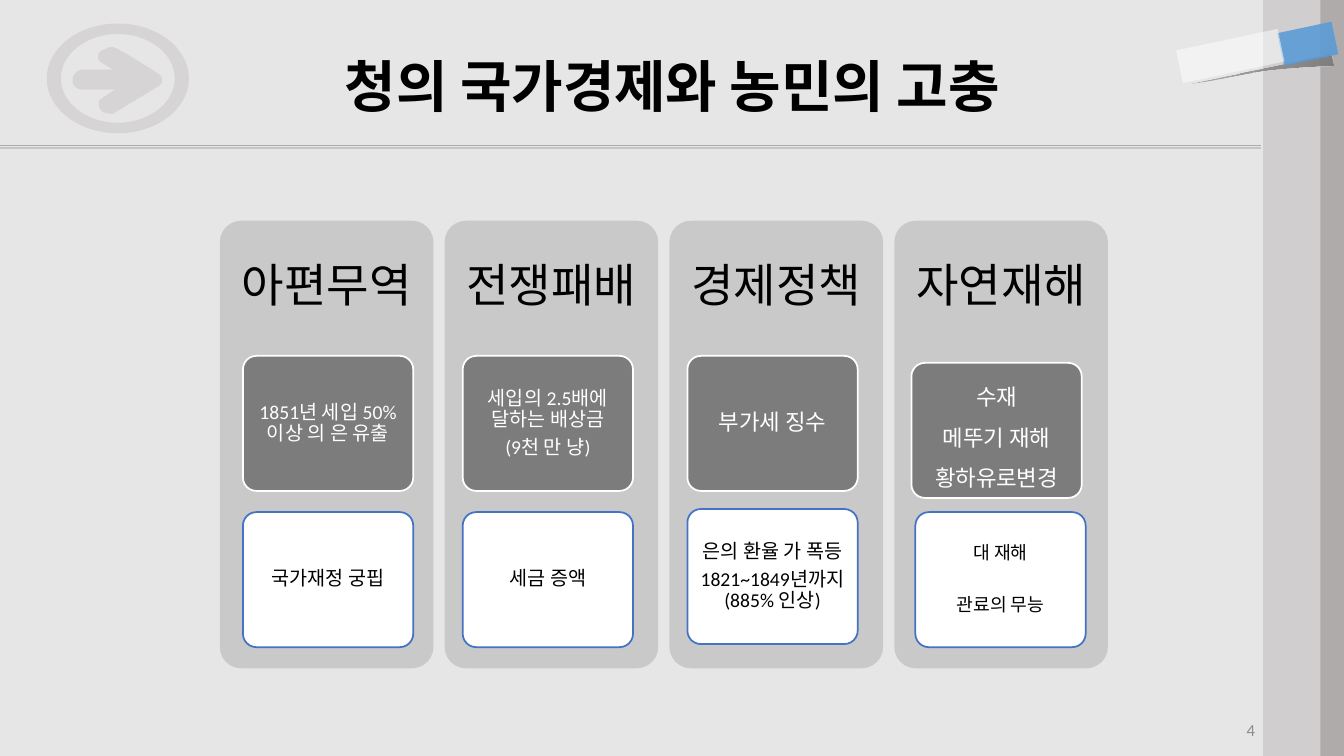
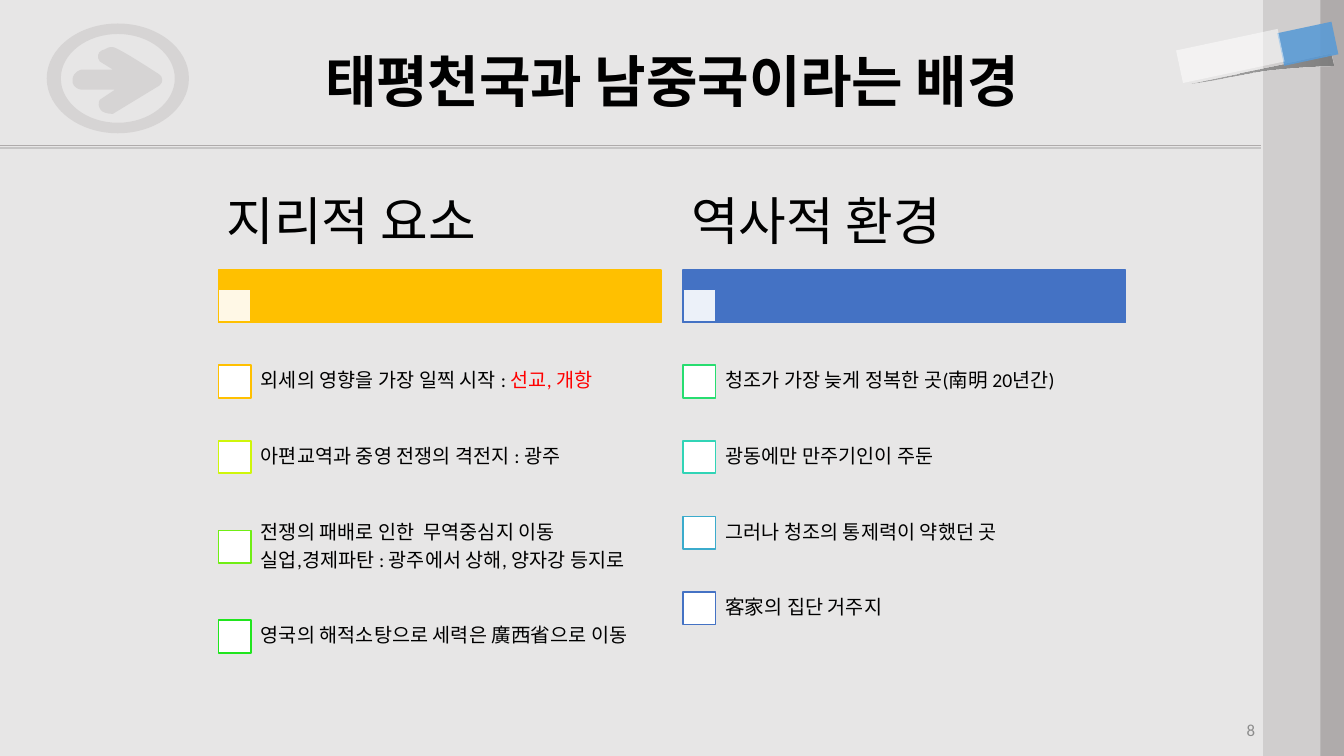
"""Build two slides on the Qing economy and the background of the Taiping movement."""
import dataclasses
import typing

import lxml.etree
import pptx
import pptx.dml.color
import pptx.enum.lang
import pptx.enum.shapes
import pptx.enum.text
import pptx.oxml.ns
import pptx.util

Pt = pptx.util.Pt
SHAPES = pptx.enum.shapes.MSO_SHAPE
ALIGN = pptx.enum.text.PP_ALIGN
MIDDLE = pptx.enum.text.MSO_ANCHOR.MIDDLE
KOREAN = pptx.enum.lang.MSO_LANGUAGE_ID.KOREAN
qn = pptx.oxml.ns.qn

FONT = "Calibri"
BLACK, WHITE, RED = "000000", "FFFFFF", "FF0000"
BLUE, AMBER = "4472C4", "FFC000"
BACKGROUND, GREY, LIGHT_GREY = "E7E6E6", "AFABAB", "D0CECE"
PANEL_GREY, CARD_GREY, SHADOW_GREY = "C9C9C9", "7C7C7C", "808080"

Contour = list[tuple[float, ...]]
ARROW: Contour = [
    (113, 52.6), (107.3, 49, 88.6, 36.7, 81.4, 33.8), (76.3, 33.1, 77.8, 34.6, 72.7, 36),
    (69.8, 37.4, 69.1, 41, 71.3, 43.9), (80.6, 49.7), (58.3, 49.7),
    (53.3, 51.1, 51.8, 54.7, 51.8, 56.9), (51.1, 59.8, 53.3, 63.4, 58.3, 64.1),
    (82.1, 64.1), (71.3, 71.3), (69.8, 73.4, 70.6, 77, 72, 78.5),
    (72.7, 80, 76.3, 81.4, 80.6, 81.4), (97.2, 71.3, 113.8, 61.2, 113.8, 61.2),
    (115.9, 59, 115.9, 58.3, 115.9, 56.9), (115.9, 55.4, 115.2, 54, 113, 52.6),
]
ERASER_SHADOW: Contour = [
    (950.4, 38.2), (952.6, 46.8), (891.4, 49, 878.4, 56.2, 849.6, 59.8),
    (883.4, 52.6, 916.6, 46.1, 950.4, 38.2),
]


class Box(typing.NamedTuple):
    """Left, top, width and height in points."""
    left: float
    top: float
    width: float
    height: float


@dataclasses.dataclass(frozen=True)
class TextStyle:
    """Look of the text in one shape."""
    size: float
    color: str = BLACK
    bold: bool = False
    align: typing.Any = ALIGN.LEFT
    spacing: float = 0.9
    gap: float = 0
    insets: tuple[float, float] = (7.2, 3.6)


@dataclasses.dataclass(frozen=True)
class Card:
    """Rounded card of a column."""
    left: float
    top: float
    lines: tuple[str, ...]
    size: float = 14
    spacing: float = 0.9
    gap: float = 4.9


@dataclasses.dataclass(frozen=True)
class Column:
    """Panel with a cause above its effect."""
    heading: str
    cause: Card
    effect: Card


@dataclasses.dataclass(frozen=True)
class Item:
    """Checklist entry with its marker colour."""
    color: str
    lines: tuple[str, ...]
    highlight: str = ""
    height: float = 54


@dataclasses.dataclass(frozen=True)
class Checklist:
    """Headed list of items."""
    left: float
    heading: str
    color: str
    items: tuple[Item, ...]


COLUMNS = (
    Column("아편무역", Card(173.5, 254.2, ("1851년 세입 50%이상 의 은 유출",)),
           Card(173.5, 365.8, ("국가재정 궁핍",))),
    Column("전쟁패배", Card(330.5, 254.2, ("세입의 2.5배에 달하는 배상금", "(9천 만 냥)")),
           Card(330.5, 365.8, ("세금 증액",))),
    Column("경제정책", Card(491, 254.2, ("부가세 징수",), 16),
           Card(491, 363.6, ("은의 환율 가 폭등", "1821~1849년까지(885% 인상)"))),
    Column("자연재해",
           Card(651, 259.2, ("수재", "메뚜기 재해", "황하유로변경"), 16, 1.5, 0),
           Card(653.8, 365.8, ("대 재해", "관료의 무능"), 13, gap=22.9)),
)
CHECKLISTS = (
    Checklist(156.2, "지리적 요소", AMBER, (
        Item(AMBER, ("외세의 영향을 가장 일찍 시작 : ",), "선교, 개항"),
        Item("CFF60A", ("아편교역과 중영 전쟁의 격전지 : 광주",)),
        Item("70EE14", ("전쟁의 패배로 인한  무역중심지 이동",
                        "실업,경제파탄 : 광주에서 상해, 양자강 등지로"), height=74.2),
        Item("20E51E", ("영국의 해적소탕으로 세력은 廣西省으로 이동",)),
    )),
    Checklist(488, "역사적 환경", BLUE, (
        Item("27DD70", ("청조가 가장 늦게 정복한 곳(南明 20년간)",)),
        Item("31D4B6", ("광동에만 만주기인이 주둔",)),
        Item("3BABCC", ("그러나 청조의 통제력이 약했던 곳",)),
        Item(BLUE, ("客家의 집단 거주지",)),
    )),
)


def rgb(color: str) -> pptx.dml.color.RGBColor:
    """Turn a hex string into a colour."""
    return pptx.dml.color.RGBColor.from_string(color)


def set_attributes(target: typing.Any, values: dict[str, typing.Any]) -> None:
    """Set every attribute of a dict of format values."""
    for name, value in values.items():
        setattr(target, name, value)


def add_alpha(color_element: typing.Any, percent: float) -> None:
    """Make a colour element partly transparent."""
    lxml.etree.SubElement(color_element, qn("a:alpha"), val=str(int(percent * 1000)))


def paint(shape: typing.Any, fill: str, line: str = "", alpha: float = 100) -> None:
    """Give a shape its fill and outline."""
    shape.shadow.inherit = False
    shape.fill.solid()
    shape.fill.fore_color.rgb = rgb(fill)
    if alpha < 100:
        add_alpha(shape.element.xpath("./p:spPr/a:solidFill/a:srgbClr")[0], alpha)
    if line:
        shape.line.color.rgb = rgb(line)
        shape.line.width = Pt(1.25)
    else:
        shape.line.fill.background()


def add_block(slide: typing.Any, box: Box, fill: str, line: str = "", alpha: float = 100,
              rotation: float = 0, rounded: bool = False) -> typing.Any:
    """Draw a plain or rounded rectangle."""
    kind = SHAPES.ROUNDED_RECTANGLE if rounded else SHAPES.RECTANGLE
    shape = slide.shapes.add_shape(kind, *map(Pt, box))
    paint(shape, fill, line, alpha)
    shape.rotation = rotation
    if rounded:
        shape.adjustments[0] = 0.1
    return shape


def write(shape: typing.Any, lines: tuple[str, ...], style: TextStyle,
          highlight: str = "") -> None:
    """Fill a shape with styled paragraphs and an optional red ending."""
    frame = shape.text_frame
    across, down = map(Pt, style.insets)
    set_attributes(frame, {
        "word_wrap": True, "vertical_anchor": MIDDLE, "margin_left": across,
        "margin_right": across, "margin_top": down, "margin_bottom": down})
    for index, line in enumerate(lines):
        paragraph = frame.add_paragraph() if index else frame.paragraphs[0]
        set_attributes(paragraph, {"alignment": style.align, "line_spacing": style.spacing})
        if index:
            paragraph.space_before = Pt(style.gap)
        runs = [(line, style.color)]
        if highlight and index == len(lines) - 1:
            runs.append((highlight, RED))
        for text, color in runs:
            run = paragraph.add_run()
            run.text = text
            set_attributes(run.font, {"name": FONT, "size": Pt(style.size),
                                      "bold": style.bold, "language_id": KOREAN})
            run.font.color.rgb = rgb(color)
            latin = run.font.fill and run._r.xpath("./a:rPr/a:latin")[0]
            latin.addnext(latin.makeelement(qn("a:ea"), {"typeface": FONT}))


def add_text(slide: typing.Any, box: Box, lines: tuple[str, ...], style: TextStyle,
             highlight: str = "") -> None:
    """Place a text box."""
    write(slide.shapes.add_textbox(*map(Pt, box)), lines, style, highlight)


def ellipse(radius_x: float, radius_y: float) -> Contour:
    """Give the four curves of an ellipse around the arrow."""
    x, y, bend = 84.2, 56, 0.55
    contour: Contour = [(x, y - radius_y)]
    for a, b in ((0, -1), (1, 0), (0, 1), (-1, 0)):
        c, d = -b, a
        contour.append((x + radius_x * (a + bend * c), y + radius_y * (b + bend * d),
                        x + radius_x * (c + bend * a), y + radius_y * (d + bend * b),
                        x + radius_x * c, y + radius_y * d))
    return contour


def add_outline(slide: typing.Any, *contours: Contour) -> typing.Any:
    """Draw a closed freeform whose six-number segments are cubic curves."""
    builder = slide.shapes.build_freeform(*map(Pt, contours[0][0]), scale=1)
    for index, contour in enumerate(contours):
        if index:
            builder.move_to(*map(Pt, contour[0]))
        builder.add_line_segments([tuple(map(Pt, segment[-2:])) for segment in contour[1:]],
                                  close=False)
    shape = builder.convert_to_shape()
    segments = [segment for contour in contours for segment in contour[1:]]
    for element, segment in zip(shape.element.xpath(".//a:lnTo"), segments):
        if len(segment) == 6:
            element.tag = qn("a:cubicBezTo")
            for position, (x, y) in enumerate((segment[:2], segment[2:4])):
                element.insert(position, element.makeelement(qn("a:pt"), {
                    "x": str(Pt(x) - shape.left), "y": str(Pt(y) - shape.top)}))
    return shape


def add_rule(slide: typing.Any) -> None:
    """Draw the line under the title with its soft shadow."""
    rule = slide.shapes.add_connector(pptx.enum.shapes.MSO_CONNECTOR.STRAIGHT,
                                      Pt(0), Pt(103.7), Pt(900.7), Pt(103.7))
    rule.line.color.rgb = rgb(GREY)
    rule.line.width = Pt(0.75)
    effects = lxml.etree.SubElement(rule.element.spPr, qn("a:effectLst"))
    shadow = lxml.etree.SubElement(effects, qn("a:outerShdw"), dist=str(Pt(2)),
                                   dir="5400000", rotWithShape="0")
    add_alpha(lxml.etree.SubElement(shadow, qn("a:srgbClr"), val=BLACK), 22)


def decorate(slide: typing.Any) -> None:
    """Draw the rule, arrow badge, side bands and eraser."""
    add_rule(slide)
    paint(add_outline(slide, ARROW), GREY, alpha=30)
    paint(add_outline(slide, ellipse(50.8, 39.2), ellipse(40.7, 31.7)), GREY, alpha=30)
    add_block(slide, Box(903.6, 0, 56.4, 540), GREY)
    add_block(slide, Box(902.2, 0, 41, 540), LIGHT_GREY)
    shadow = add_outline(slide, ERASER_SHADOW)
    paint(shadow, SHADOW_GREY)
    shadow.fill.gradient()
    shadow.fill.gradient_angle = 0
    for stop in shadow.fill.gradient_stops:
        stop.color.rgb = rgb(SHADOW_GREY)
    add_alpha(shadow.element.xpath(".//a:gs/a:srgbClr")[0], 56)
    add_block(slide, Box(922.3, 11.5, 23.8, 39.6), "5B9BD5", alpha=90, rotation=78)
    add_block(slide, Box(866.9, 2.9, 23.8, 74.2), WHITE, alpha=50, rotation=78)


def move_to_layout(slide: typing.Any, layout: typing.Any) -> None:
    """Hand the drawn decoration over to the layout, behind its placeholders."""
    decoration = [shape for shape in slide.shapes if not shape.is_placeholder]
    for index, shape in enumerate(decoration):
        shape.element.xpath(".//p:cNvPr")[0].set("id", str(100 + index))
        layout.shapes.element.insert(2 + index, shape.element)


def add_frame(slide: typing.Any, title: str, box: Box, number: str) -> None:
    """Set the title and the slide number."""
    set_attributes(slide.shapes.title, dict(zip(Box._fields, map(Pt, box))))
    write(slide.shapes.title, (title,),
          TextStyle(40, bold=True, align=ALIGN.CENTER, spacing=1.0))
    add_text(slide, Box(679.7, 509.4, 224, 23.8), (number,),
             TextStyle(12, "8C8C8C", align=ALIGN.RIGHT, spacing=1.0))


def add_card(slide: typing.Any, card: Card, fill: str, line: str, color: str) -> None:
    """Draw a card with its text."""
    shape = add_block(slide, Box(card.left, card.top, 121.7, 96.5), fill, line, rounded=True)
    write(shape, card.lines, TextStyle(card.size, color, align=ALIGN.CENTER, gap=card.gap,
                                       spacing=card.spacing, insets=(2.9, 2.2)))


def add_column(slide: typing.Any, column: Column, left: float) -> None:
    """Draw a panel with heading and two cards."""
    add_block(slide, Box(left, 157.7, 152.6, 319.7), PANEL_GREY, rounded=True)
    add_text(slide, Box(left, 157.7, 152.6, 95.8), (column.heading,),
             TextStyle(33, align=ALIGN.CENTER, insets=(10, 10)))
    add_card(slide, column.cause, CARD_GREY, WHITE, WHITE)
    add_card(slide, column.effect, WHITE, BLUE, BLACK)


def add_checklist(slide: typing.Any, checklist: Checklist) -> None:
    """Draw a heading, its bar and the marked items."""
    left, top, marker = checklist.left, 245.5, 23.2
    add_block(slide, Box(left, 193, 316, 37.4), checklist.color, checklist.color)
    add_block(slide, Box(left, 206.9, marker, marker), WHITE, checklist.color, alpha=90)
    add_text(slide, Box(left, 126, 316, 67), (checklist.heading,),
             TextStyle(37, insets=(5.8, 3.6)))
    for item in checklist.items:
        add_block(slide, Box(left, top + (item.height - marker) / 2, marker, marker),
                  WHITE, item.color)
        add_text(slide, Box(left + 22.2, top, 293.8, item.height), item.lines,
                 TextStyle(14, gap=4.9, insets=(7.9, 7.9)), item.highlight)
        top += item.height


def main() -> None:
    """Build and save the presentation."""
    presentation = pptx.Presentation()
    set_attributes(presentation, {"slide_width": Pt(960), "slide_height": Pt(540)})
    background = presentation.slide_master.background.fill
    background.solid()
    background.fore_color.rgb = rgb(BACKGROUND)
    layout = presentation.slide_layouts[5]
    economy, setting = (presentation.slides.add_slide(layout) for _ in range(2))
    decorate(economy)
    move_to_layout(economy, layout)
    add_frame(economy, "청의 국가경제와 농민의 고충", Box(156.2, 21.6, 648, 78.5), "4")
    for index, column in enumerate(COLUMNS):
        add_column(economy, column, 157 + 160.6 * index)
    add_frame(setting, "태평천국과 남중국이라는 배경", Box(48, 12.2, 864, 90), "8")
    for checklist in CHECKLISTS:
        add_checklist(setting, checklist)
    presentation.save("out.pptx")


if __name__ == "__main__":
    main()
